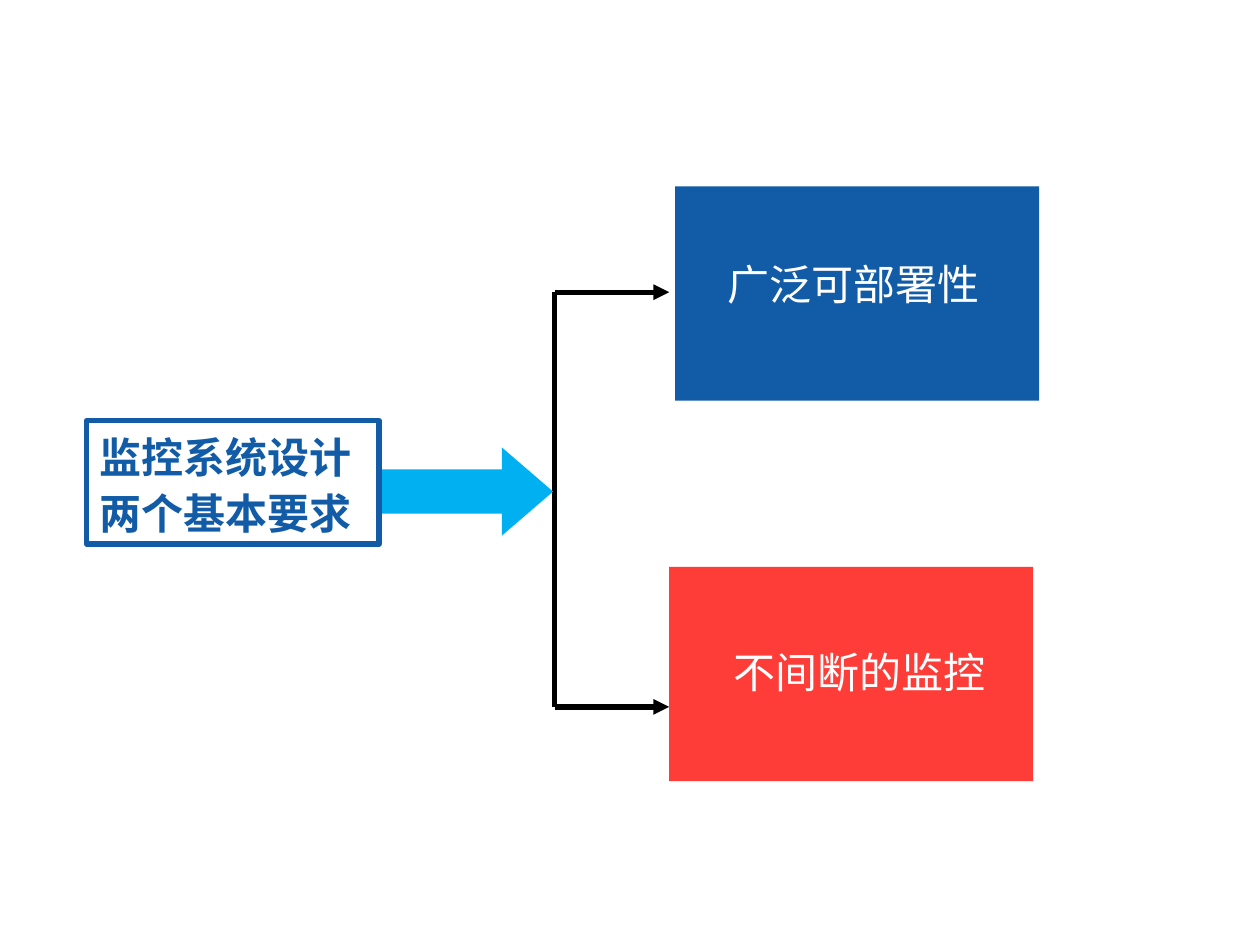
from lxml.etree import SubElement
from pptx import Presentation
from pptx.dml.color import RGBColor
from pptx.enum.shapes import MSO_CONNECTOR, MSO_SHAPE
from pptx.enum.text import MSO_ANCHOR, MSO_AUTO_SIZE, PP_ALIGN
from pptx.oxml.ns import qn
from pptx.util import Cm, Pt

COLORS = {"blue": "125CA7", "red": "FE3D38", "cyan": "00B0F0",
          "white": "FFFFFF", "black": "000000"}


def rgb(name):
    return RGBColor.from_string(COLORS[name])


def add_block(slide, preset, box, fill, outline=None):
    block = slide.shapes.add_shape(preset, *map(Cm, box))
    block.shadow.inherit = False
    block.fill.solid()
    block.fill.fore_color.rgb = rgb(fill)
    if outline:
        block.line.color.rgb = rgb(outline)
        block.line.width = Pt(3)
    else:
        block.line.fill.background()
    return block


def write(holder, text, font="Arial", color="white", bold=False,
          align=PP_ALIGN.CENTER, spacing=1.0):
    frame = holder.text_frame
    frame.word_wrap = True
    frame.auto_size = MSO_AUTO_SIZE.SHAPE_TO_FIT_TEXT
    frame.vertical_anchor = MSO_ANCHOR.TOP
    paragraph = frame.paragraphs[0]
    paragraph.alignment = align
    paragraph.line_spacing = spacing
    run = paragraph.add_run()
    run.text = text
    run.font.name = font
    run.font.size = Pt(24)
    run.font.bold = bold
    run.font.color.rgb = rgb(color)


def add_requirement(slide, box, text, fill, caption_offset, font):
    left, top, _, _ = box
    dx, dy = caption_offset
    add_block(slide, MSO_SHAPE.RECTANGLE, box, fill)
    caption = slide.shapes.add_textbox(Cm(left + dx), Cm(top + dy), Cm(7.19), Cm(1.27))
    write(caption, text, font=font)


def add_line(slide, start, end, arrow=False):
    line = slide.shapes.add_connector(MSO_CONNECTOR.STRAIGHT, *map(Cm, start + end))
    line.line.color.rgb = rgb("black")
    line.line.width = Pt(3)
    if arrow:
        SubElement(line.line._get_or_add_ln(), qn("a:tailEnd"), type="triangle")
    SubElement(line._element.spPr, qn("a:effectLst"))


def add_branches(slide, box):
    """Draw a vertical trunk with an arrow to the right at each end."""
    left, top, width, height = box
    bottom = top + height
    add_line(slide, (left, top), (left, bottom))
    for y in (top, bottom):
        add_line(slide, (left, y), (left + width, y), arrow=True)


def add_topic(slide, box, text):
    """Draw the framed topic and the block arrow that leaves its right side."""
    left, top, width, _ = box
    arrow = add_block(slide, MSO_SHAPE.RIGHT_ARROW,
                      (left + width, top + 0.54, 3.51, 1.78), "cyan")
    arrow.adjustments[0] = 0.5
    arrow.adjustments[1] = 0.58
    topic = add_block(slide, MSO_SHAPE.RECTANGLE, box, "white", outline="blue")
    write(topic, text, color="blue", bold=True, align=PP_ALIGN.LEFT, spacing=1.1)


def main():
    deck = Presentation()
    deck.slide_width, deck.slide_height = Cm(25.4), Cm(19.05)
    slide = deck.slides.add_slide(deck.slide_layouts[6])
    add_requirement(slide, (13.61, 3.76, 7.34, 4.32), "广泛可部署性", "blue",
                    (0, 1.32), "Noto Sans CJK SC")
    add_requirement(slide, (13.49, 11.43, 7.34, 4.32), "不间断的监控", "red",
                    (0.25, 1.47), "Arial")
    add_branches(slide, (11.18, 5.89, 2.31, 8.36))
    add_topic(slide, (1.75, 8.48, 5.89, 2.49), "监控系统设计两个基本要求")
    deck.save("out.pptx")


if __name__ == "__main__":
    main()
